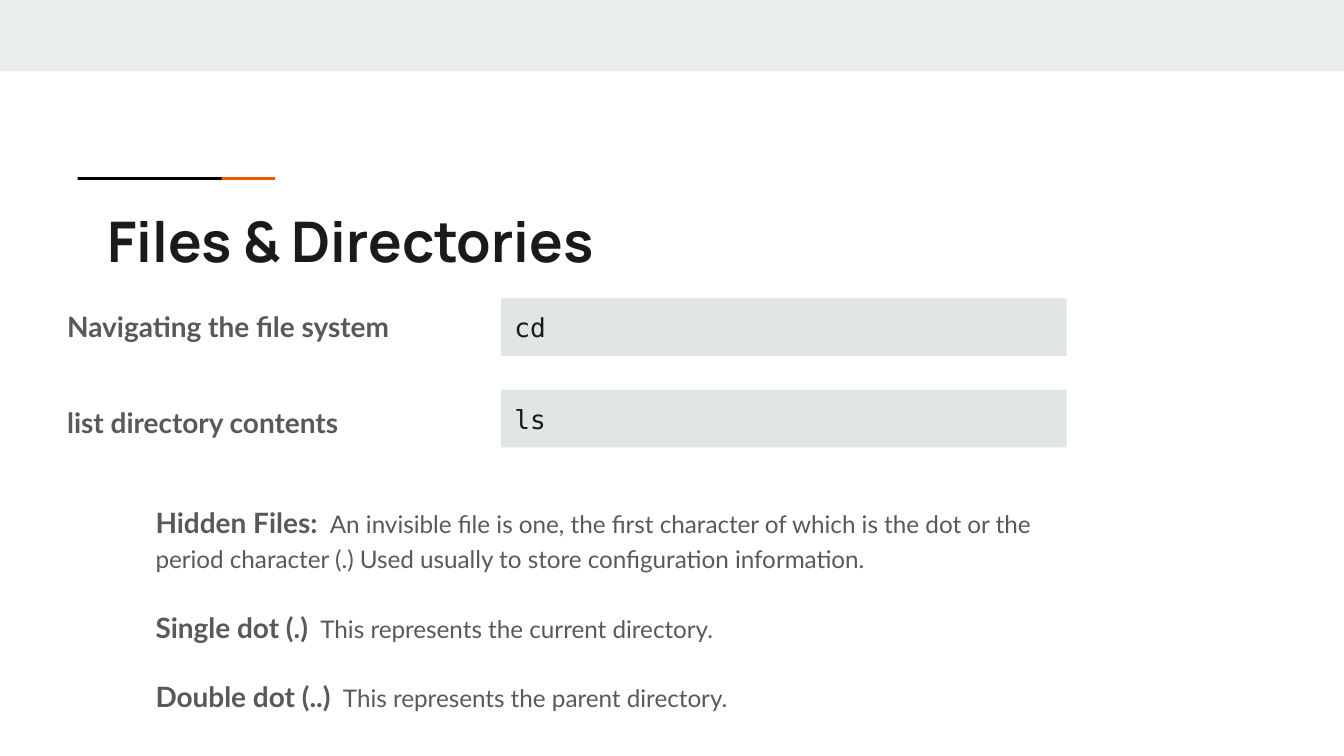
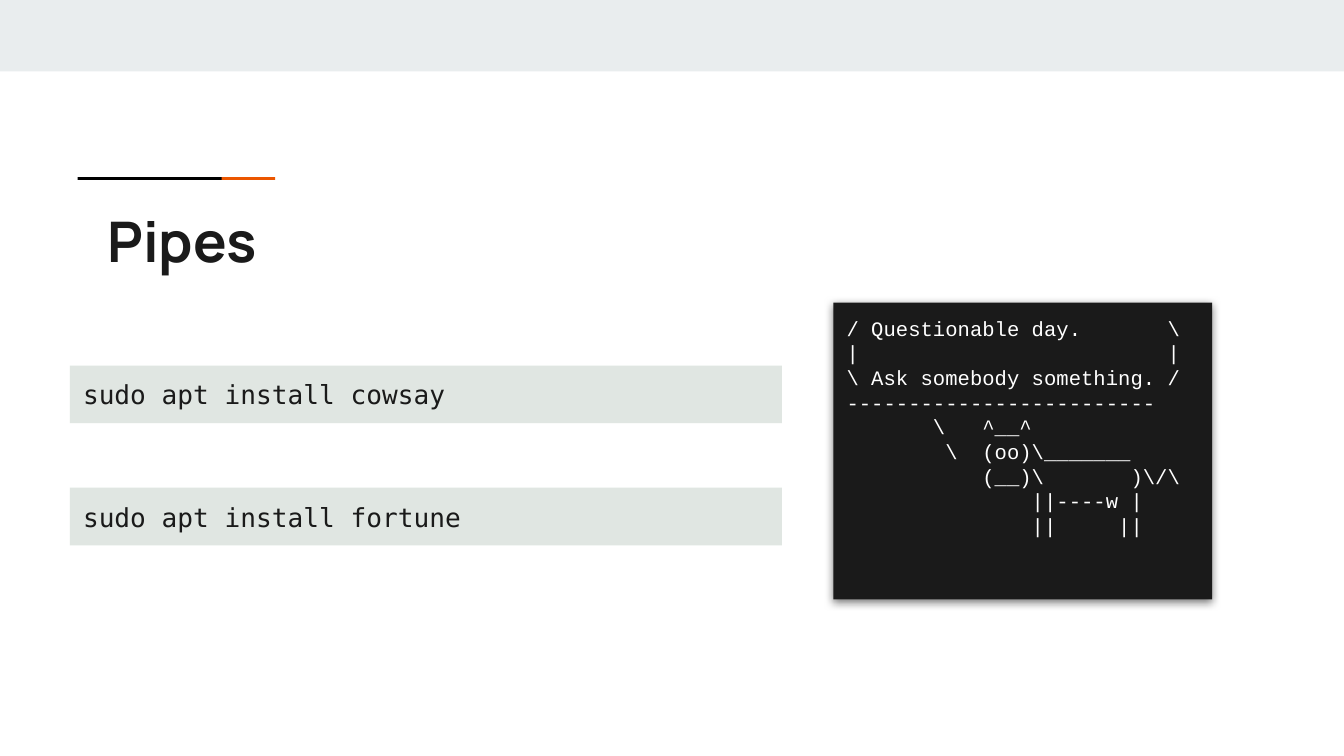
from dataclasses import dataclass

from lxml import etree
from pptx import Presentation
from pptx.dml.color import RGBColor
from pptx.enum.shapes import MSO_SHAPE as Preset
from pptx.enum.text import MSO_ANCHOR as Anchor, MSO_AUTO_SIZE as AutoSize, PP_ALIGN as Align
from pptx.oxml import parse_xml
from pptx.oxml.ns import nsdecls, qn
from pptx.util import Cm, Pt

COLORS = {
    "band": "E9EDEE",
    "accent": "EB5600",
    "black": "000000",
    "ink": "1A1A1A",
    "body": "595959",
    "code": "255235",
    "white": "FFFFFF",
}
TITLE_FONT, BODY_FONT = "Manrope", "Lato"
CODE_FONT, TERMINAL_FONT = "DejaVu Sans Mono", "Courier New"
INSET = Cm(0.25)
CODE_HEIGHT = 1.09
CODE_ALPHA = 14

COW = r"""/ Questionable day.       \
|                         |
\ Ask somebody something. /
-------------------------
       \   ^__^
        \  (oo)\_______
           (__)\       )\/\
               ||----w |
               ||     ||"""


@dataclass(frozen=True)
class Box:
    """A place on the slide, in centimetres."""
    left: float
    top: float
    width: float
    height: float

    def lengths(self) -> tuple:
        return Cm(self.left), Cm(self.top), Cm(self.width), Cm(self.height)


@dataclass(frozen=True)
class Bar:
    box: Box
    color: str


@dataclass(frozen=True)
class Definition:
    term: str
    meaning: str


FRAME_BARS = (
    Bar(Box(0, 0, 25.4, 1.35), "band"),
    Bar(Box(2.51, 3.35, 2.69, 0.05), "accent"),
    Bar(Box(1.47, 3.35, 2.72, 0.05), "black"),
)
TITLE_BOX = Box(2.03, 3.66, 21.36, 1.5)

COMMANDS = (("Navigating the file system", "cd"), ("list directory contents", "ls"))
INSTALLS = ("sudo apt install cowsay", "sudo apt install fortune")

HIDDEN_FILES = Definition(
    "Hidden Files: ",
    " An invisible file is one, the first character of which is the dot or the "
    "period character (.) Used usually to store configuration information.",
)
DOTS = (
    Definition("Single dot (.) ", " This represents the current directory."),
    Definition("Double dot (..) ", " This represents the parent directory."),
)


def style_font(font, name: str, size: float, color: str, bold: bool = False) -> None:
    font.name, font.size, font.bold = name, Pt(size), bold
    font.color.rgb = RGBColor.from_string(COLORS[color])


def prepare_frame(frame, anchor=Anchor.TOP, side_inset=INSET) -> None:
    frame.word_wrap = True
    frame.auto_size = AutoSize.NONE
    frame.vertical_anchor = anchor
    frame.margin_left = frame.margin_right = side_inset
    frame.margin_top = frame.margin_bottom = INSET


def write_lines(frame, text: str, font: str, size: float, color: str, bold: bool = False) -> None:
    frame.text = text
    for paragraph in frame.paragraphs:
        paragraph.alignment = Align.LEFT
        for run in paragraph.runs:
            style_font(run.font, font, size, color, bold)


def add_bar(slide, box: Box, color: str):
    shape = slide.shapes.add_shape(Preset.RECTANGLE, *box.lengths())
    shape.shadow.inherit = False
    shape.fill.solid()
    shape.fill.fore_color.rgb = RGBColor.from_string(COLORS[color])
    shape.line.fill.background()
    return shape


def add_code(slide, box: Box, command: str) -> None:
    shape = add_bar(slide, box, "code")
    color = shape.fill._xPr.find(qn("a:solidFill"))[0]
    etree.SubElement(color, qn("a:alpha"), val=str(CODE_ALPHA * 1000))
    prepare_frame(shape.text_frame, Anchor.MIDDLE)
    write_lines(shape.text_frame, command, CODE_FONT, 14, "ink")


def add_terminal(slide, box: Box, output: str) -> None:
    shape = add_bar(slide, box, "ink")
    effects = shape._element.spPr.find(qn("a:effectLst"))
    effects.append(parse_xml(
        f'<a:outerShdw {nsdecls("a")} blurRad="{Pt(4.5)}" dist="{Pt(1.5)}" dir="5400000" '
        f'algn="bl" rotWithShape="0"><a:srgbClr val="{COLORS["black"]}">'
        '<a:alpha val="50000"/></a:srgbClr></a:outerShdw>'
    ))
    prepare_frame(shape.text_frame)
    write_lines(shape.text_frame, output, TERMINAL_FONT, 11, "white")


def add_text_frame(slide, box: Box):
    frame = slide.shapes.add_textbox(*box.lengths()).text_frame
    prepare_frame(frame)
    return frame


def add_dash_label(slide, box: Box, text: str) -> None:
    frame = add_text_frame(slide, box)
    paragraph = frame.paragraphs[0]
    properties = paragraph._p.get_or_add_pPr()
    properties.set("marL", str(Cm(1.27)))
    properties.set("indent", str(Cm(-0.89)))
    bullet_color = etree.SubElement(properties, qn("a:buClr"))
    etree.SubElement(bullet_color, qn("a:srgbClr"), val=COLORS["body"])
    etree.SubElement(properties, qn("a:buFont"), typeface=BODY_FONT)
    etree.SubElement(properties, qn("a:buChar"), char="-")
    paragraph.line_spacing = 1.15
    write_lines(frame, text, BODY_FONT, 15, "body", bold=True)


def add_definitions(slide, box: Box, *definitions: Definition) -> None:
    frame = add_text_frame(slide, box)
    for index, definition in enumerate(definitions):
        paragraph = frame.add_paragraph() if index else frame.paragraphs[0]
        paragraph.line_spacing = 1.15
        if index:
            paragraph.space_before = Pt(16)
        for text, size, bold in ((definition.term, 15, True), (definition.meaning, 13, False)):
            run = paragraph.add_run()
            run.text = text
            style_font(run.font, BODY_FONT, size, "body", bold)


def add_titled_slide(presentation, title: str):
    """Add a slide with the shared band, accent rule and title."""
    slide = presentation.slides.add_slide(presentation.slide_layouts[5])
    for bar in FRAME_BARS:
        add_bar(slide, bar.box, bar.color)
    shape = slide.shapes.title
    shape.left, shape.top, shape.width, shape.height = TITLE_BOX.lengths()
    prepare_frame(shape.text_frame, side_inset=0)
    write_lines(shape.text_frame, title, TITLE_FONT, 30, "ink", bold=True)
    return slide


def build_files_slide(presentation) -> None:
    slide = add_titled_slide(presentation, "Files & Directories")
    for row, (label, command) in enumerate(COMMANDS):
        add_code(slide, Box(9.47, 5.64 + 1.73 * row, 10.69, CODE_HEIGHT), command)
        add_dash_label(slide, Box(1.02, 5.61 + 1.8 * row, 8.74, 1.24), label)
    add_definitions(slide, Box(2.69, 9.22, 18.24, 1.88), HIDDEN_FILES)
    add_definitions(slide, Box(2.69, 11.2, 18.24, 2.54), *DOTS)


def build_pipes_slide(presentation) -> None:
    slide = add_titled_slide(presentation, "Pipes")
    for row, command in enumerate(INSTALLS):
        add_code(slide, Box(1.32, 6.91 + 2.31 * row, 13.46, CODE_HEIGHT), command)
    add_terminal(slide, Box(15.75, 5.72, 7.16, 5.61), COW)


def main() -> None:
    presentation = Presentation()
    presentation.slide_width, presentation.slide_height = Cm(25.4), Cm(14.29)
    build_files_slide(presentation)
    build_pipes_slide(presentation)
    presentation.save("out.pptx")


if __name__ == "__main__":
    main()
